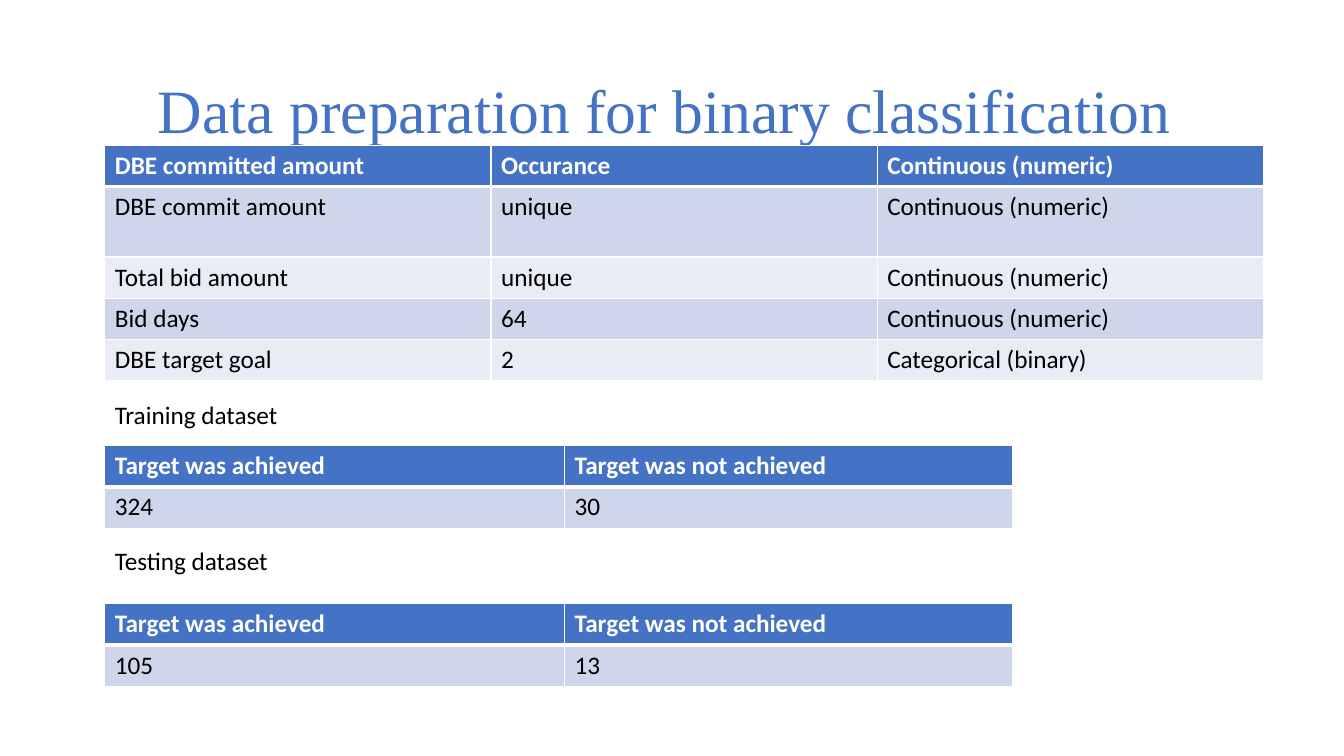
from dataclasses import dataclass

from lxml.etree import SubElement
from pptx import Presentation
from pptx.dml.color import RGBColor as RGB
from pptx.enum.text import MSO_ANCHOR as Anchor, PP_ALIGN as Align
from pptx.oxml.ns import qn
from pptx.util import Inches, Pt

TITLE = "Data preparation for binary classification "
FIELDS = [
    ("DBE committed amount", "Occurance", "Continuous (numeric)"),
    ("DBE commit amount", "unique", "Continuous (numeric)"),
    ("Total bid amount", "unique", "Continuous (numeric)"),
    ("Bid days", "64", "Continuous (numeric)"),
    ("DBE target goal", "2", "Categorical (binary)"),
]
GOALS = ("Target was achieved", "Target was not achieved")
# Label, its top, table top, counts
SETS = [
    ("Training dataset", 3.91, 4.42, ("324", "30")),
    ("Testing dataset", 5.36, 5.99, ("105", "13")),
]


@dataclass(frozen=True)
class Theme:
    blue: str = "4472C4"
    bands: tuple = ("E9EBF5", "CFD5EA")
    white: str = "FFFFFF"
    black: str = "000000"
    serif: str = "Times New Roman"
    sans: str = "Calibri"
    head: int = 44
    body: int = 18
    thin: int = 1
    thick: int = 3


LOOK = Theme()
LEFT = 1.04
ROW, TALL = 0.41, 0.7
FIELD_COLS = [3.83] * 3
GOAL_COLS = [4.56, 4.44]


def style(frame, size, face, color, bold=False):
    for para in frame.paragraphs:
        for run in para.runs:
            font = run.font
            font.size, font.name, font.bold = Pt(size), face, bold
            font.color.rgb = RGB.from_string(color)


def edge(cell, head):
    """Draw white cell borders, with a thick one below a header."""
    props = cell._tc.get_or_add_tcPr()
    for side in ("lnL", "lnR", "lnT", "lnB"):
        width = LOOK.thick if head and side == "lnB" else LOOK.thin
        line = SubElement(props, qn(f"a:{side}"), w=str(Pt(width)))
        fill = SubElement(line, qn("a:solidFill"))
        SubElement(fill, qn("a:srgbClr"), val=LOOK.white)


def add_grid(slide, top, cols, rows, data):
    table = slide.shapes.add_table(
        len(rows), len(cols), Inches(LEFT), Inches(top),
        Inches(sum(cols)), Inches(sum(rows))).table
    for col, width in zip(table.columns, cols):
        col.width = Inches(width)
    for i, (row, height) in enumerate(zip(table.rows, rows)):
        row.height = Inches(height)
        head = i == 0
        for cell, text in zip(row.cells, data[i]):
            cell.text_frame.text = text
            style(cell.text_frame, LOOK.body, LOOK.sans,
                  LOOK.white if head else LOOK.black, head)
            edge(cell, head)
            cell.fill.solid()
            cell.fill.fore_color.rgb = RGB.from_string(
                LOOK.blue if head else LOOK.bands[i % 2])


def add_title(slide):
    title = slide.shapes.title
    title.left, title.top = Inches(0.92), Inches(0.4)
    title.width, title.height = Inches(11.5), Inches(1.45)
    frame = title.text_frame
    frame.text = TITLE
    frame.vertical_anchor = Anchor.MIDDLE
    para = frame.paragraphs[0]
    para.alignment, para.line_spacing = Align.CENTER, 0.9
    style(frame, LOOK.head, LOOK.serif, LOOK.blue)


def add_label(slide, text, top):
    box = slide.shapes.add_textbox(
        Inches(LEFT), Inches(top), Inches(5.37), Inches(0.4))
    frame = box.text_frame
    frame.word_wrap = True
    frame.text = text
    style(frame, LOOK.body, LOOK.sans, LOOK.black)


def main():
    deck = Presentation()
    deck.slide_width, deck.slide_height = Inches(13.33), Inches(7.5)
    slide = deck.slides.add_slide(deck.slide_layouts[5])
    add_title(slide)
    add_grid(slide, 1.44, FIELD_COLS, [ROW, TALL, ROW, ROW, ROW], FIELDS)
    for label, above, top, counts in SETS:
        add_label(slide, label, above)
        add_grid(slide, top, GOAL_COLS, [ROW, ROW], [GOALS, counts])
    deck.save("out.pptx")


if __name__ == "__main__":
    main()
